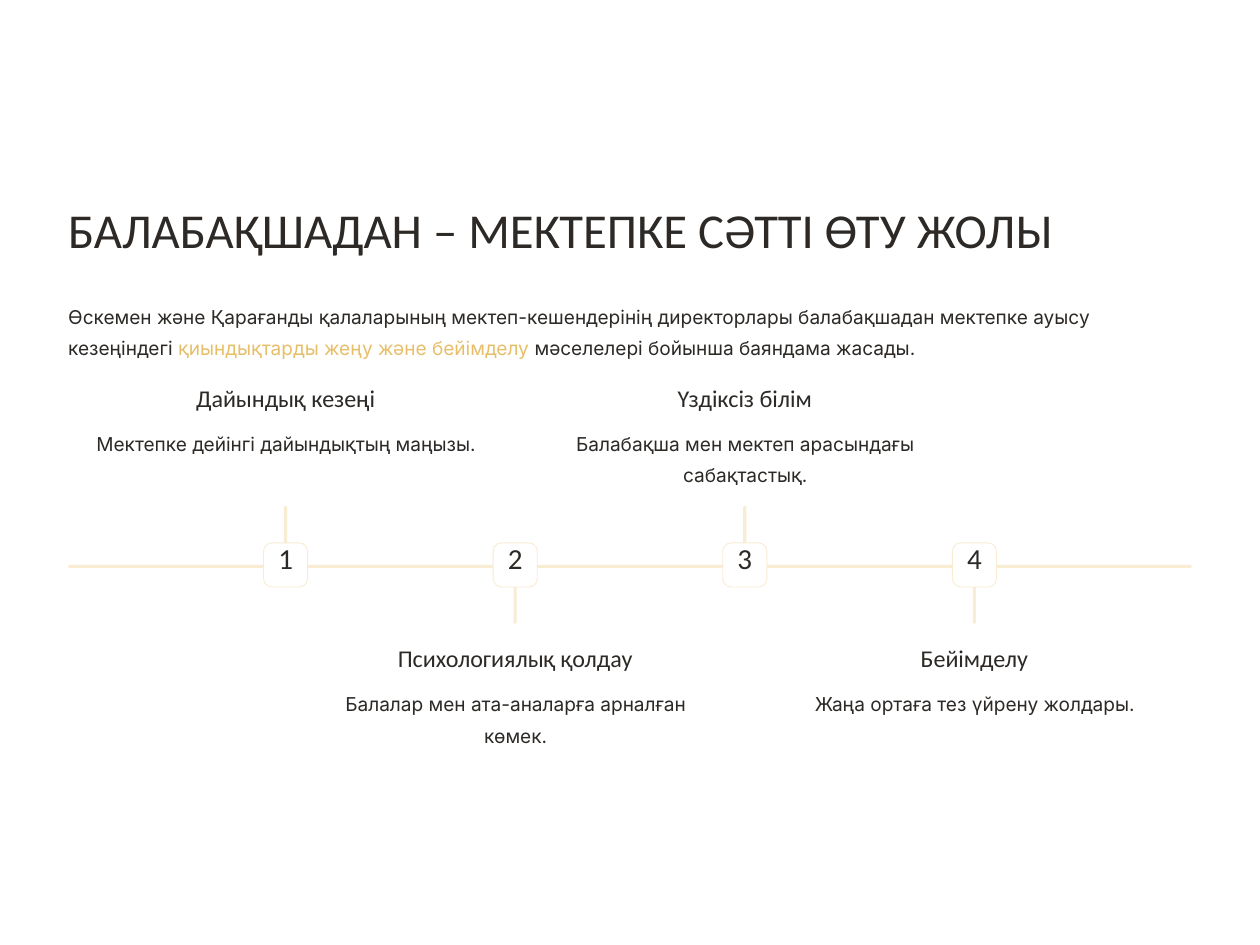
from dataclasses import dataclass

from pptx import Presentation
from pptx import util as u
from pptx.dml.color import RGBColor
from pptx.enum import shapes, text

INK = RGBColor(0x2C, 0x29, 0x26)
GOLD = RGBColor(0xE7, 0xBF, 0x6A)
CREAM = RGBColor(0xF8, 0xEC, 0xD3)
WHITE = RGBColor(0xFF, 0xFF, 0xFF)

# Layout in inches
MARGIN, CONTENT_WIDTH = 0.65, 10.7
AXIS_TOP, BAR = 5.38, 0.03
STEM_HEIGHT, BADGE = 0.56, 0.42
FIRST_CENTER, LAST_CENTER = 2.72, 9.28


@dataclass(frozen=True)
class TextStyle:
    font: str
    size: float
    spacing: float
    align: text.PP_ALIGN = text.PP_ALIGN.LEFT


@dataclass(frozen=True)
class Stage:
    heading: str
    detail: str


TITLE = TextStyle("Calibri", 33.4, 41.6)
INTRO = TextStyle("Inter", 13.1, 21.4)
NUMBER = TextStyle("Calibri", 19.9, 19.9, text.PP_ALIGN.CENTER)
HEADING = TextStyle("Calibri", 16.5, 20.6, text.PP_ALIGN.CENTER)
DETAIL = TextStyle("Inter", 13.1, 21.4, text.PP_ALIGN.CENTER)

STAGES = [
    Stage("Дайындық кезеңі", "Мектепке дейінгі дайындықтың маңызы."),
    Stage("Психологиялық қолдау", "Балалар мен ата-аналарға арналған көмек."),
    Stage("Үздіксіз білім", "Балабақша мен мектеп арасындағы сабақтастық."),
    Stage("Бейімделу", "Жаңа ортаға тез үйрену жолдары."),
]


def add_text(slide, left: float, top: float, width: float, height: float,
             style: TextStyle, *parts: tuple[str, RGBColor]) -> None:
    box = slide.shapes.add_textbox(*map(u.Inches, (left, top, width, height)))
    frame = box.text_frame
    frame.word_wrap = True
    frame.margin_left = frame.margin_right = 0
    frame.margin_top = frame.margin_bottom = 0
    paragraph = frame.paragraphs[0]
    paragraph.alignment = style.align
    paragraph.line_spacing = u.Pt(style.spacing)
    for words, color in parts:
        run = paragraph.add_run()
        run.text = words
        run.font.name = style.font
        run.font.size = u.Pt(style.size)
        run.font.color.rgb = color


def add_rounded(slide, left: float, top: float, width: float, height: float,
                corner: float, fill: RGBColor, outline: RGBColor | None = None) -> None:
    shape = slide.shapes.add_shape(
        shapes.MSO_SHAPE.ROUNDED_RECTANGLE,
        *map(u.Inches, (left, top, width, height)))
    shape.adjustments[0] = corner
    shape.shadow.inherit = False
    shape.fill.solid()
    shape.fill.fore_color.rgb = fill
    if outline is None:
        shape.line.fill.background()
    else:
        shape.line.color.rgb = outline
        shape.line.width = u.Pt(0.6)


def add_stage(slide, index: int, stage: Stage) -> None:
    step = (LAST_CENTER - FIRST_CENTER) / (len(STAGES) - 1)
    center = FIRST_CENTER + index * step
    above = index % 2 == 0
    stem_top = AXIS_TOP - STEM_HEIGHT if above else AXIS_TOP
    heading_top = 3.64 if above else 6.12

    # Stem and numbered badge
    add_rounded(slide, center - BAR / 2, stem_top, BAR, STEM_HEIGHT, 0.5, CREAM)
    add_rounded(slide, center - BADGE / 2, 5.17, BADGE, BADGE, 0.19, WHITE, CREAM)
    add_text(slide, center - 0.14, 5.2, 0.28, 0.35, NUMBER, (str(index + 1), INK))

    # Heading and detail
    add_text(slide, center - 1.3, heading_top, 2.6, 0.29, HEADING, (stage.heading, INK))
    add_text(slide, center - 1.88, heading_top + 0.4, 3.77, 0.6, DETAIL,
             (stage.detail, INK))


def main() -> None:
    deck = Presentation()
    deck.slide_width, deck.slide_height = u.Inches(12), u.Inches(9)
    slide = deck.slides.add_slide(deck.slide_layouts[6])

    # Title and introduction
    add_text(slide, MARGIN, 1.88, CONTENT_WIDTH, 0.58, TITLE,
             ("БАЛАБАҚШАДАН – МЕКТЕПКЕ СӘТТІ ӨТУ ЖОЛЫ", INK))
    add_text(slide, MARGIN, 2.83, CONTENT_WIDTH, 0.6, INTRO,
             ("Өскемен және Қарағанды қалаларының мектеп-кешендерінің директорлары "
              "балабақшадан мектепке ауысу кезеңіндегі ", INK),
             ("қиындықтарды жеңу және бейімделу", GOLD),
             (" мәселелері бойынша баяндама жасады.", INK))

    # Timeline
    add_rounded(slide, MARGIN, AXIS_TOP, CONTENT_WIDTH, BAR, 0.5, CREAM)
    for index, stage in enumerate(STAGES):
        add_stage(slide, index, stage)

    deck.save("out.pptx")


if __name__ == "__main__":
    main()
